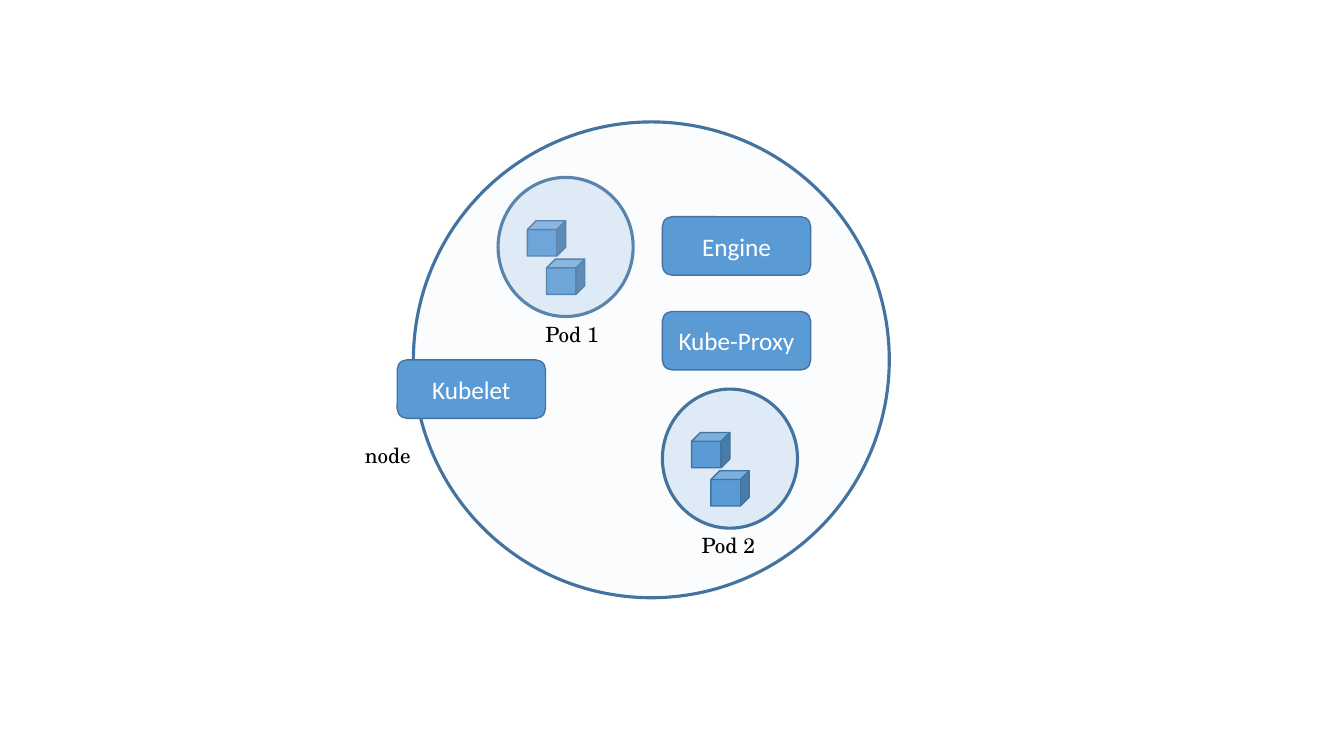
from lxml.etree import SubElement
from pptx import Presentation
from pptx.dml.color import RGBColor
from pptx.enum.shapes import MSO_SHAPE as Preset
from pptx.enum.text import MSO_ANCHOR as Anchor, PP_ALIGN as Align
from pptx.oxml.ns import qn
from pptx.util import Inches, Pt

BLUE = "5B9BD5"
PALE_BLUE = "DEEBF7"
OUTLINE = "43739E"


def rgb(color):
    """Turn a hex string into a colour."""
    return RGBColor.from_string(color)


def add_preset(slide, preset, left, top, width, height, fill, line_width):
    """Add a filled and outlined preset shape."""
    shape = slide.shapes.add_shape(
        preset, Inches(left), Inches(top), Inches(width), Inches(height))
    shape.shadow.inherit = False
    shape.fill.solid()
    shape.fill.fore_color.rgb = rgb(fill)
    shape.line.color.rgb = rgb(OUTLINE)
    shape.line.width = Pt(line_width)
    return shape


def write(shape, text, font_name, size, color, align):
    """Put one formatted line of text in a shape."""
    paragraph = shape.text_frame.paragraphs[0]
    paragraph.text = text
    paragraph.alignment = align
    paragraph.font.name = font_name
    paragraph.font.size = Pt(size)
    paragraph.font.color.rgb = rgb(color)


def add_node(slide, left, top, diameter):
    """Add the large translucent circle of the node."""
    node = add_preset(slide, Preset.OVAL, left, top, diameter, diameter,
                      PALE_BLUE, 2.25)
    color = node.fill._xPr.find(qn("a:solidFill"))[0]
    SubElement(color, qn("a:alpha")).set("val", "15000")


def add_pod(slide, left, top):
    """Add a pod circle holding two container cubes."""
    add_preset(slide, Preset.OVAL, left, top, 1.34, 1.38, PALE_BLUE, 2.25)
    for right, down in ((0.29, 0.43), (0.48, 0.81)):
        add_preset(slide, Preset.CUBE, left + right, top + down, 0.38, 0.35,
                   BLUE, 1)


def add_component(slide, text, left, top):
    """Add a rounded box naming a node component."""
    box = add_preset(slide, Preset.ROUNDED_RECTANGLE, left, top, 1.47, 0.58,
                     BLUE, 1)
    box.text_frame.vertical_anchor = Anchor.MIDDLE
    box.text_frame.word_wrap = True
    write(box, text, "Calibri", 18, "FFFFFF", Align.CENTER)


def add_label(slide, text, left, top):
    """Add a caption."""
    label = slide.shapes.add_textbox(
        Inches(left), Inches(top), Inches(0.97), Inches(0.35))
    label.text_frame.word_wrap = True
    write(label, text, "TeX Gyre Schola", 15, "000000", Align.LEFT)


def main():
    """Build the node diagram and save it."""
    presentation = Presentation()
    presentation.slide_width = Inches(13.33)
    presentation.slide_height = Inches(7.5)
    slide = presentation.slides.add_slide(presentation.slide_layouts[6])

    add_pod(slide, 4.94, 1.76)
    add_node(slide, 4.1, 1.21, 4.72)
    for text, left, top in (("Engine", 6.57, 2.15), ("Kubelet", 3.94, 3.57),
                            ("Kube-Proxy", 6.57, 3.09)):
        add_component(slide, text, left, top)
    add_pod(slide, 6.57, 3.86)
    for text, left, top in (("Pod 1", 5.31, 3.14), ("Pod 2", 6.86, 5.23),
                            ("node", 3.52, 4.34)):
        add_label(slide, text, left, top)

    presentation.save("out.pptx")


if __name__ == "__main__":
    main()
